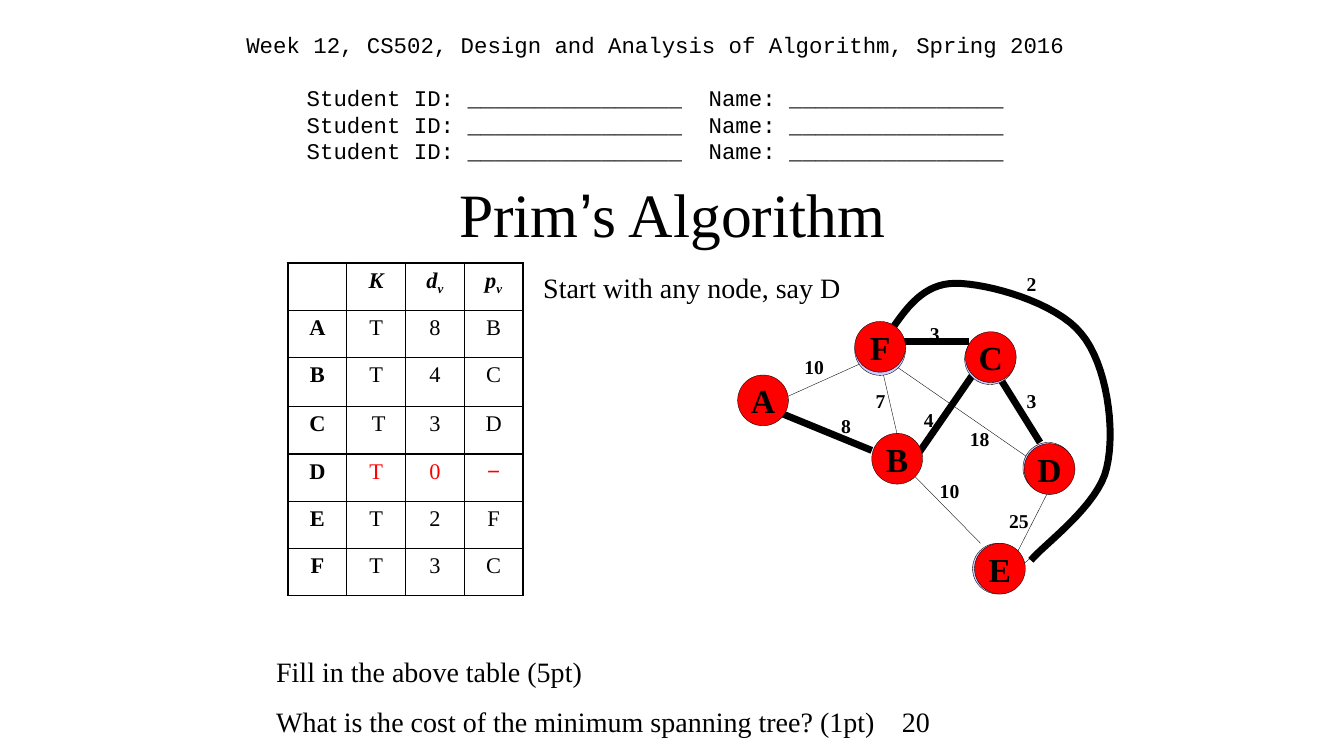
from dataclasses import dataclass
from typing import NamedTuple

from lxml import etree
from pptx import Presentation
from pptx.dml.color import RGBColor
from pptx.enum.shapes import MSO_CONNECTOR, MSO_SHAPE
from pptx.enum.text import MSO_ANCHOR, MSO_AUTO_SIZE, PP_ALIGN
from pptx.oxml import parse_xml
from pptx.oxml.ns import nsdecls, qn
from pptx.util import Cm, Pt

LEFT, CENTER = PP_ALIGN.LEFT, PP_ALIGN.CENTER
TOP, MIDDLE = MSO_ANCHOR.TOP, MSO_ANCHOR.MIDDLE
STRAIGHT, OVAL = MSO_CONNECTOR.STRAIGHT, MSO_SHAPE.OVAL
NO_AUTOFIT = MSO_AUTO_SIZE.NONE
TITLE_ONLY = 5

SERIF, SANS, MONO = "Times New Roman", "Arial", "Courier New"
BLACK, RED, LAVENDER = "000000", "FF0000", "CCCCFF"
THIN, TREE = 0.25, 5
DIAMETER = 1.28


class Run(NamedTuple):
    text: str
    font: str = ""
    subscript: bool = False


class Point(NamedTuple):
    x: float
    y: float


@dataclass
class Node:
    letter: str
    corner: Point
    halo_offset: Point | None = None


@dataclass
class Edge:
    start: Point
    end: Point
    weight: str
    label: Point
    in_tree: bool = False


NODES = [
    Node("A", Point(18.59, 9.45)),
    Node("E", Point(24.56, 13.69), Point(-0.05, 0)),
    Node("F", Point(21.54, 8.10), Point(0, 0.08)),
    Node("D", Point(25.81, 11.18), Point(-0.03, -0.03)),
    Node("C", Point(24.33, 8.36), Point(-0.02, 0.05)),
    Node("B", Point(21.97, 10.92)),
]
EDGES = [
    Edge(Point(26.72, 11.79), Point(25.65, 13.89), "25", Point(25.02, 12.70)),
    Edge(Point(22.17, 9.04), Point(22.61, 10.95), "7", Point(21.77, 9.68)),
    Edge(Point(23.04, 11.58), Point(24.51, 9.45), "4", Point(22.99, 10.16), True),
    Edge(Point(25.98, 11.58), Point(22.61, 9.25), "18", Point(24.03, 10.64)),
    Edge(Point(19.43, 10.31), Point(21.97, 11.35), "8", Point(20.90, 10.31), True),
    Edge(Point(22.73, 8.61), Point(24.41, 8.61), "3", Point(23.14, 7.98), True),
    Edge(Point(25.15, 9.45), Point(26.21, 11.15), "3", Point(25.58, 9.68), True),
    Edge(Point(23.04, 11.99), Point(24.71, 13.69), "10", Point(23.27, 11.94)),
    Edge(Point(19.76, 10.03), Point(21.67, 9.17), "10", Point(19.86, 8.81)),
]
# Edge F–E: start point, then two controls and an end for each Bézier part
F_TO_E = [
    Point(22.40, 8.41),
    Point(22.83, 7.77), Point(23.27, 7.14), Point(24.08, 7.14),
    Point(24.89, 7.14), Point(26.62, 7.62), Point(27.25, 8.41),
    Point(27.89, 9.17), Point(28.12, 10.82), Point(27.89, 11.79),
    Point(27.69, 12.73), Point(26.31, 13.72), Point(25.98, 14.12),
]
HEADINGS = [[], [Run("K")], [Run("d"), Run("v", subscript=True)],
            [Run("p"), Run("v", subscript=True)]]
STEPS = ["A|T|8|B", "B|T|4|C", "C| T|3|D", "D|T|0|−", "E|T|2|F", "F|T|3|C"]


def rgb(value: str) -> RGBColor:
    return RGBColor.from_string(value)


def write(paragraph, content, *, size: float, font: str = SERIF, color: str = BLACK,
          bold: bool = False, italic: bool = False, align=LEFT,
          before: float = 0, spacing: float = 0) -> None:
    """Fill a paragraph with a string or a list of runs."""
    paragraph.alignment = align
    if before:
        paragraph.space_before = Pt(before)
    if spacing:
        paragraph.line_spacing = Pt(spacing)
    for part in [Run(content)] if isinstance(content, str) else content:
        run = paragraph.add_run()
        run.text = part.text
        run.font.name = part.font or font
        run.font.size, run.font.bold, run.font.italic = Pt(size), bold, italic
        run.font.color.rgb = rgb(color)
        if part.subscript:
            run._r.get_or_add_rPr().set("baseline", "-25000")


def prepare(frame, *, inset: float = 0.13, anchor=TOP, wrap: bool = True):
    frame.margin_left = frame.margin_right = Cm(inset)
    frame.margin_top = frame.margin_bottom = Cm(inset)
    frame.vertical_anchor, frame.word_wrap = anchor, wrap
    frame.auto_size = NO_AUTOFIT
    return frame


def text_box(shapes, left: float, top: float, width: float, height: float,
             inset: float = 0.13):
    box = shapes.add_textbox(Cm(left), Cm(top), Cm(width), Cm(height))
    return prepare(box.text_frame, inset=inset)


def draw_line(shapes, start: Point, end: Point, weight: float) -> None:
    line = shapes.add_connector(STRAIGHT, Cm(start.x), Cm(start.y), Cm(end.x), Cm(end.y))
    line.line.color.rgb, line.line.width = rgb(BLACK), Pt(weight)
    etree.SubElement(line._element.spPr, qn("a:effectLst"))


def draw_circle(shapes, corner: Point, fill: str):
    circle = shapes.add_shape(OVAL, Cm(corner.x), Cm(corner.y), Cm(DIAMETER), Cm(DIAMETER))
    circle.shadow.inherit = False
    circle.fill.solid()
    circle.fill.fore_color.rgb = rgb(fill)
    circle.line.color.rgb, circle.line.width = rgb(BLACK), Pt(THIN)
    return circle


def draw_weight(shapes, weight: str, corner: Point) -> None:
    frame = text_box(shapes, corner.x, corner.y, 0.84 if len(weight) == 1 else 1.32, 0.79)
    write(frame.paragraphs[0], weight, size=14, bold=True, align=CENTER)


def draw_curve(shapes, points: list[Point], steps: int = 16) -> None:
    outline = []
    for first in range(0, len(points) - 1, 3):
        a, b, c, d = points[first:first + 4]
        for step in range(1, steps + 1):
            t = step / steps
            u = 1 - t
            outline.append(tuple(
                Cm(u**3 * p + 3 * u * u * t * q + 3 * u * t * t * r + t**3 * s)
                for p, q, r, s in zip(a, b, c, d)))
    builder = shapes.build_freeform(Cm(points[0].x), Cm(points[0].y))
    builder.add_line_segments(outline, close=False)
    curve = builder.convert_to_shape()
    curve.shadow.inherit = False
    curve.fill.background()
    curve.line.color.rgb, curve.line.width = rgb(BLACK), Pt(TREE)


def set_borders(cell, **widths: float) -> None:
    properties = cell._tc.get_or_add_tcPr()
    for index, (side, width) in enumerate(widths.items()):
        properties.insert(index, parse_xml(
            f'<a:ln{side} {nsdecls("a")} w="{Pt(width)}"><a:solidFill>'
            f'<a:srgbClr val="{BLACK}"/></a:solidFill></a:ln{side}>'))


def draw_table(shapes) -> None:
    rows = [HEADINGS] + [[[Run(text, SANS if text == "−" else "")]
                          for text in step.split("|")] for step in STEPS]
    table = shapes.add_table(len(rows), 4, Cm(7.26), Cm(6.63), Cm(5.92), Cm(8.4)).table
    table.first_row = table.horz_banding = False
    for column in table.columns:
        column.width = Cm(1.48)
    for r, row in enumerate(rows):
        table.rows[r].height = Cm(1.24 if r == 2 else 1.19)
        for c, content in enumerate(row):
            cell = table.cell(r, c)
            cell.margin_left = cell.margin_right = Cm(0.13)
            cell.margin_top = cell.margin_bottom = Cm(0.13)
            cell.fill.background()
            is_start = rows[r][0] and rows[r][0][0].text == "D" and c > 0
            write(cell.text_frame.paragraphs[0], content, size=16, align=CENTER,
                  color=RED if is_start else BLACK, bold=r == 0 or c == 0, italic=r == 0)
            set_borders(cell, L=2.25 if c == 0 else 1, R=2.25 if c == 3 else 1,
                        T=2.25 if r == 0 else 1, B=1)


def main() -> None:
    deck = Presentation()
    deck.slide_width, deck.slide_height = Cm(33.87), Cm(19.05)
    slide = deck.slides.add_slide(deck.slide_layouts[TITLE_ONLY])
    shapes = slide.shapes

    # Title
    title = shapes.title
    title.left, title.top, title.width, title.height = Cm(6.15), Cm(3.78), Cm(21.59), Cm(3.18)
    write(prepare(title.text_frame, anchor=MIDDLE).paragraphs[0],
          [Run("Prim"), Run("’", SANS), Run("s Algorithm")], size=44, align=CENTER)

    # Course line and student fields
    header = text_box(shapes, 4.78, 0.69, 23.47, 4.6, inset=0.1)
    mono = {"size": 16, "font": MONO, "align": CENTER, "spacing": 19}
    write(header.paragraphs[0],
          "Week 12, CS502, Design and Analysis of Algorithm, Spring 2016", **mono)
    for student in range(3):
        write(header.add_paragraph(), "Student ID: ________________  Name: ________________",
              before=19 if student == 0 else 0, **mono)

    # Graph: edges, weights, then nodes
    for edge in EDGES:
        draw_line(shapes, edge.start, edge.end, TREE if edge.in_tree else THIN)
    draw_curve(shapes, F_TO_E)
    draw_line(shapes, Point(26.42, 13.69), Point(25.78, 14.22), THIN)
    for node in NODES:
        if node.halo_offset:
            draw_circle(shapes, Point(node.corner.x + node.halo_offset.x,
                                      node.corner.y + node.halo_offset.y), LAVENDER)
    for edge in EDGES:
        draw_weight(shapes, edge.weight, edge.label)
    draw_weight(shapes, "2", Point(25.58, 6.71))
    for node in NODES:
        circle = draw_circle(shapes, node.corner, RED)
        frame = prepare(circle.text_frame, inset=0, anchor=MIDDLE, wrap=False)
        write(frame.paragraphs[0], node.letter, size=24, bold=True, align=CENTER)

    # Table of steps
    draw_table(shapes)

    # Instruction and questions
    hint = text_box(shapes, 13.56, 6.68, 8.05, 1.04)
    write(hint.paragraphs[0], "Start with any node, say D", size=20)
    questions = text_box(shapes, 6.83, 16.36, 17.35, 2.26)
    write(questions.paragraphs[0], "Fill in the above table (5pt)", size=20)
    cost = questions.add_paragraph()
    write(cost, "What is the cost of the minimum spanning tree? (1pt)\t20", size=20, before=12)
    cost._p.get_or_add_pPr().append(parse_xml(
        f'<a:tabLst {nsdecls("a")}><a:tab pos="{Cm(15.77)}" algn="l"/></a:tabLst>'))

    deck.save("out.pptx")


if __name__ == "__main__":
    main()
